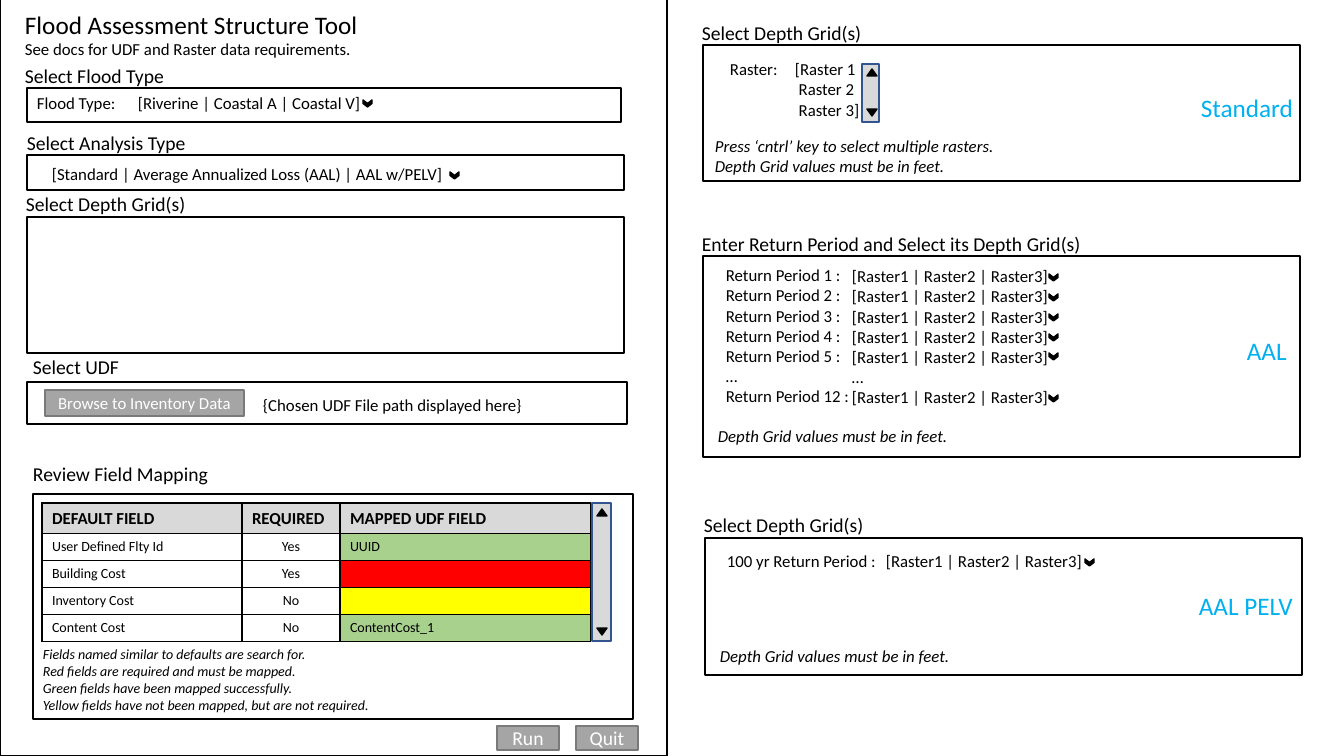
"""Build the wireframe slide of a flood assessment tool and its depth grid panels."""
import pptx
import pptx.dml.color
import pptx.enum.shapes
import pptx.enum.text
import pptx.oxml
import pptx.oxml.ns
import pptx.util
import lxml.etree

SCALE = 914400 / 100.8
FONT = "Calibri"
COLORS = {
    "black": "000000", "white": "FFFFFF", "light": "D9D9D9", "navy": "325491",
    "button": "A5A5A5", "button_edge": "7A7A7A", "label": "00B0F0",
    "green": "A9D18E", "red": "FF0000", "yellow": "FFFF00",
}
PRESET = pptx.enum.shapes.MSO_SHAPE
ALIGN = pptx.enum.text.PP_ALIGN
MIDDLE = pptx.enum.text.MSO_ANCHOR.MIDDLE


def write_text(frame, text, size=12, color="black", bold=False, italic=False, align=ALIGN.LEFT):
    """Fill a text frame with one paragraph for each line of text."""
    frame.word_wrap = True
    for number, line in enumerate(text.split("\n")):
        paragraph = frame.add_paragraph() if number else frame.paragraphs[0]
        paragraph.alignment = align
        if not line:
            end = lxml.etree.SubElement(paragraph._p, pptx.oxml.ns.qn("a:endParaRPr"))
            end.set("sz", str(size * 100))
            continue
        run = paragraph.add_run()
        run.text = line
        run.font.name = FONT
        run.font.size = pptx.util.Pt(size)
        run.font.bold = bold
        run.font.italic = italic
        run.font.color.rgb = pptx.dml.color.RGBColor.from_string(COLORS[color])


def draw_shape(preset, bounds, fill=None, line="black", rotation=0):
    """Add a preset shape with a one point outline."""
    shape = slide.shapes.add_shape(preset, *[round(value * SCALE) for value in bounds])
    shape.shadow.inherit = False
    shape.rotation = rotation
    shape.line.width = pptx.util.Pt(1)
    shape.line.color.rgb = pptx.dml.color.RGBColor.from_string(COLORS[line])
    if fill:
        shape.fill.solid()
        shape.fill.fore_color.rgb = pptx.dml.color.RGBColor.from_string(COLORS[fill])
    else:
        shape.fill.background()
    return shape


presentation = pptx.Presentation()
presentation.slide_width = round(1344 * SCALE)
presentation.slide_height = round(756 * SCALE)
slide = presentation.slides.add_slide(presentation.slide_layouts[6])

panels = [
    (0, -1, 667, 757), (27, 88, 594, 34), (27, 155, 597, 35), (27, 217, 597, 136),
    (27, 382, 600, 42), (33, 494, 600, 225),
    (703, 45, 597, 136), (703, 256, 597, 201), (705, 538, 597, 137),
]
for bounds in panels:
    draw_shape(PRESET.RECTANGLE, bounds)

buttons = [
    ("Browse to Inventory Data", 12, (45, 390, 199, 26)),
    ("Run", 14, (497, 726, 62, 24)),
    ("Quit", 14, (576, 726, 62, 24)),
]
for caption, size, bounds in buttons:
    button = draw_shape(PRESET.RECTANGLE, bounds, fill="button", line="button_edge")
    button.text_frame.vertical_anchor = MIDDLE
    write_text(button.text_frame, caption, size=size, color="white", align=ALIGN.CENTER)

scrollbars = [((592, 503, 19, 138), 509, 628), ((862, 64, 17, 58), 69, 109)]
for bounds, up_top, down_top in scrollbars:
    draw_shape(PRESET.RECTANGLE, bounds, fill="light", line="navy")
    for top, rotation in ((up_top, 0), (down_top, 180)):
        draw_shape(PRESET.ISOSCELES_TRIANGLE, (bounds[0] + 5, top, 10, 7), "black", rotation=rotation)

dropdowns = [(364, 99), (451, 171), (1086, 558)]
dropdowns += [(1050, top) for top in (273, 293, 313, 333, 352, 394)]
for left, top in dropdowns:
    draw_shape(PRESET.CHEVRON, (left, top, 7, 9), "black", rotation=90)

headings = [
    ("Select Flood Type", 15, 59), ("Select Analysis Type", 17, 126),
    ("Select Depth Grid(s)", 16, 187), ("Select UDF", 23, 350),
    ("Review Field Mapping", 23, 457), ("Select Depth Grid(s)", 692, 16),
    ("Enter Return Period and Select its Depth Grid(s)", 692, 227),
    ("Select Depth Grid(s)", 694, 508),
]
choice = "[Raster1 | Raster2 | Raster3]"
periods = [f"Return Period {number} :" for number in range(1, 6)] + ["…", "Return Period 12 :"]
feet = "Depth Grid values must be in feet."
entries = [
    ("See docs for UDF and Raster data requirements.", 15, 34),
    ("Flood Type:", 27, 88), ("[Riverine | Coastal A | Coastal V]", 128, 88),
    ("[Standard | Average Annualized Loss (AAL) | AAL w/PELV]", 42, 159),
    ("{Chosen UDF File path displayed here}", 253, 390),
    ("Raster:", 720, 54), ("[Raster 1\n Raster 2\n Raster 3]", 785, 54),
    ("\n".join(periods), 716, 260), ("\n".join([choice] * 5 + ["…", choice]), 842, 261),
    ("100 yr Return Period :", 717, 546), (choice, 876, 546),
]
hints = [
    ("Press ‘cntrl’ key to select multiple rasters.\n" + feet, 705, 131),
    (feet, 708, 421), (feet, 710, 641),
]
mapping_notes = "\n".join([
    "Fields named similar to defaults are search for.",
    "Red fields are required and must be mapped.",
    "Green fields have been mapped successfully.",
    "Yellow fields have not been mapped, but are not required.",
])
modes = [("Standard", 1191, 87), ("AAL", 1237, 330), ("AAL PELV", 1189, 585)]
groups = [
    ([("Flood Assessment Structure Tool", 15, 4)], {"size": 18}),
    (headings, {"size": 14}),
    (entries, {}),
    (hints, {"italic": True}),
    ([(mapping_notes, 33, 641)], {"size": 10, "italic": True}),
    (modes, {"size": 18, "color": "label"}),
]
for items, style in groups:
    for text, left, top in items:
        width = 121 if items is modes else 450
        height = 30 + 20 * text.count("\n")
        box = slide.shapes.add_textbox(*[round(value * SCALE) for value in (left, top, width, height)])
        write_text(box.text_frame, text, **style)

rows = [
    ("DEFAULT FIELD", "REQUIRED", "MAPPED UDF FIELD", "light"),
    ("User Defined Flty Id", "Yes", "UUID", "green"),
    ("Building Cost", "Yes", "", "red"),
    ("Inventory Cost", "No", "", "yellow"),
    ("Content Cost", "No", "ContentCost_1", "green"),
]
table_bounds = [round(value * SCALE) for value in (42, 503, 549, 138)]
table = slide.shapes.add_table(len(rows), 3, *table_bounds).table
for column, width in zip(table.columns, (200, 98, 251)):
    column.width = round(width * SCALE)
for row_index, (*texts, status) in enumerate(rows):
    header = row_index == 0
    table.rows[row_index].height = round((30 if header else 27) * SCALE)
    for column_index, text in enumerate(texts):
        cell = table.cell(row_index, column_index)
        fill = status if header or column_index == 2 else "white"
        centered = column_index == 1 and not header
        write_text(cell.text_frame, text, size=12 if header else 10, bold=header,
                   align=ALIGN.CENTER if centered else ALIGN.LEFT)
        properties = cell._tc.get_or_add_tcPr()
        for side in ("lnL", "lnR", "lnT", "lnB"):
            border = lxml.etree.SubElement(properties, pptx.oxml.ns.qn(f"a:{side}"), w="12700")
            solid = lxml.etree.SubElement(border, pptx.oxml.ns.qn("a:solidFill"))
            lxml.etree.SubElement(solid, pptx.oxml.ns.qn("a:srgbClr"), val=COLORS["black"])
        cell.fill.solid()
        cell.fill.fore_color.rgb = pptx.dml.color.RGBColor.from_string(COLORS[fill])

presentation.save("out.pptx")
